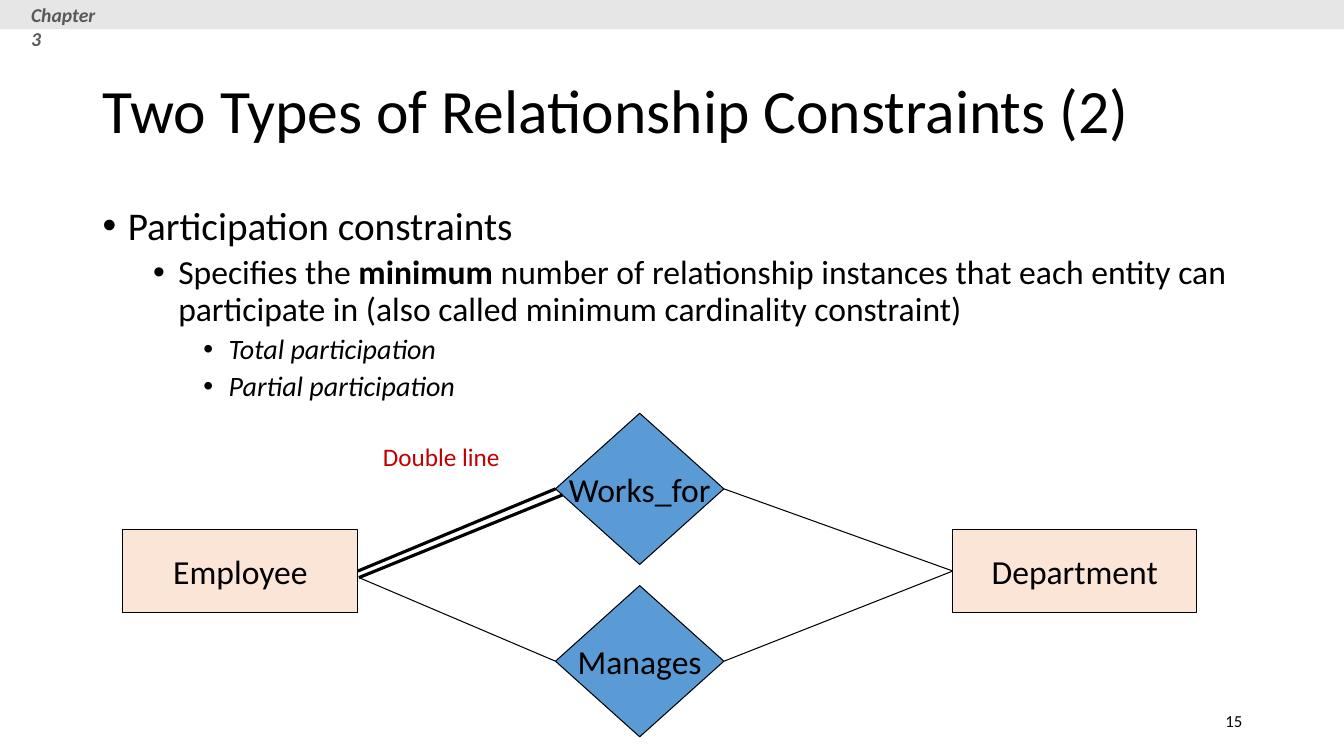
import pptx
import pptx.util
import pptx.dml.color
import pptx.enum.shapes
import pptx.enum.text
import pptx.oxml.ns
import lxml.etree
from dataclasses import dataclass

Inches = pptx.util.Inches
Pt = pptx.util.Pt
SHAPES = pptx.enum.shapes.MSO_SHAPE
ALIGN = pptx.enum.text.PP_ALIGN
ANCHOR = pptx.enum.text.MSO_ANCHOR

TITLE = "Two Types of Relationship Constraints (2)"
CHAPTER = "Chapter 3"
PAGE_NUMBER = "15"
LINE_NOTE = "Double line"
OUTLINE = [
    (0, [("Participation constraints", {})]),
    (1, [
        ("Specifies the ", {}),
        ("minimum", {"bold": True}),
        (" number of relationship instances that each entity can participate in"
         " (also called minimum cardinality constraint)", {}),
    ]),
    (2, [("Total participation", {"italic": True})]),
    (2, [("Partial participation", {"italic": True})]),
]
NODES = {
    "Works_for": ("relationship", 5.51, 4.1, 1.67, 1.5),
    "Department": ("entity", 9.45, 5.25, 2.42, 0.83),
    "Employee": ("entity", 1.22, 5.25, 2.33, 0.83),
    "Manages": ("relationship", 5.51, 5.81, 1.67, 1.5),
}
SECOND_LINE_START = (3.56, 5.73)
SECOND_LINE_END = (5.58, 4.91)
LINKS = [
    ("Works_for", "Department", "thin"),
    ("Employee", "Works_for", "thick"),
    (SECOND_LINE_START, SECOND_LINE_END, "thick"),
    (SECOND_LINE_START, "Manages", "thin"),
    ("Manages", "Department", "thin"),
]


@dataclass(frozen=True)
class Theme:
    font: str = "Calibri"
    ink: str = "000000"
    band: str = "E7E6E6"
    chapter: str = "595959"
    accent: str = "C00000"
    relationship: str = "5B9BD5"
    entity: str = "FBE5D6"
    title_size: int = 44
    outline_sizes: tuple = (28, 24, 20)
    node_size: int = 24
    note_size: int = 18
    chapter_size: int = 14
    number_size: int = 12
    thin: float = 0.75
    thick: float = 2.25


theme = Theme()


def rgb(code):
    return pptx.dml.color.RGBColor.from_string(code)


def write(para, text, *, size, color=theme.ink, bold=False, italic=False, align=ALIGN.LEFT):
    para.alignment = align
    span = para.add_run()
    span.text = text
    span.font.name = theme.font
    span.font.size = Pt(size)
    span.font.color.rgb = rgb(color)
    span.font.bold = bold
    span.font.italic = italic


def add_box(page, left, top, width, height, anchor=ANCHOR.TOP):
    box = page.shapes.add_textbox(Inches(left), Inches(top), Inches(width), Inches(height))
    box.text_frame.word_wrap = True
    box.text_frame.vertical_anchor = anchor
    return box.text_frame


def add_filled(page, kind, place, fill):
    shape = page.shapes.add_shape(kind, *map(Inches, place))
    shape.shadow.inherit = False
    shape.fill.solid()
    shape.fill.fore_color.rgb = rgb(fill)
    shape.line.fill.background()
    return shape


def add_title(page):
    title = page.shapes.title
    title.left, title.top = Inches(0.92), Inches(0.4)
    title.width, title.height = Inches(11.5), Inches(1.45)
    frame = title.text_frame
    frame.auto_size = pptx.enum.text.MSO_AUTO_SIZE.NONE
    frame.vertical_anchor = ANCHOR.MIDDLE
    para = frame.paragraphs[0]
    para.line_spacing = 0.9
    write(para, TITLE, size=theme.title_size)


def add_outline(page):
    frame = add_box(page, 0.92, 2, 11.5, 4.76)
    for index, (level, spans) in enumerate(OUTLINE):
        para = frame.add_paragraph() if index else frame.paragraphs[0]
        para.level = level
        para.line_spacing = 0.9
        para.space_before = Pt(5 if level else 10)
        for text, style in spans:
            write(para, text, size=theme.outline_sizes[level], **style)
        settings = para._p.get_or_add_pPr()
        settings.set("marL", str(Inches(0.25 + 0.5 * level)))
        settings.set("indent", str(Inches(-0.25)))
        font = lxml.etree.SubElement(settings, pptx.oxml.ns.qn("a:buFont"))
        font.set("typeface", "Arial")
        bullet = lxml.etree.SubElement(settings, pptx.oxml.ns.qn("a:buChar"))
        bullet.set("char", "•")


def add_node(page, name):
    role, *place = NODES[name]
    kind, fill = {
        "relationship": (SHAPES.DIAMOND, theme.relationship),
        "entity": (SHAPES.RECTANGLE, theme.entity),
    }[role]
    node = add_filled(page, kind, place, fill)
    node.line.color.rgb = rgb(theme.ink)
    node.line.width = Pt(theme.thin)
    frame = node.text_frame
    frame.word_wrap = False
    frame.vertical_anchor = ANCHOR.MIDDLE
    write(frame.paragraphs[0], name, size=theme.node_size, align=ALIGN.CENTER)
    return node


def add_link(page, nodes, start, end, weight):
    points = [(0, 0) if name in nodes else name for name in (start, end)]
    link = page.shapes.add_connector(
        pptx.enum.shapes.MSO_CONNECTOR.STRAIGHT,
        *(Inches(value) for point in points for value in point))
    if start in nodes:
        link.begin_connect(nodes[start], 3)
    if end in nodes:
        link.end_connect(nodes[end], 1)
    link.line.color.rgb = rgb(theme.ink)
    link.line.width = Pt(theme.thick if weight == "thick" else theme.thin)
    lxml.etree.SubElement(link._element.spPr, pptx.oxml.ns.qn("a:effectLst"))


def main():
    deck = pptx.Presentation()
    deck.slide_width, deck.slide_height = Inches(13.33), Inches(7.5)
    page = deck.slides.add_slide(deck.slide_layouts[5])

    add_title(page)
    add_outline(page)
    number = add_box(page, 9.42, 6.95, 3, 0.4, ANCHOR.MIDDLE)
    write(number.paragraphs[0], PAGE_NUMBER, size=theme.number_size, align=ALIGN.RIGHT)
    add_filled(page, SHAPES.RECTANGLE, (0, 0, 13.33, 0.29), theme.band)
    chapter = add_box(page, 0.21, -0.02, 0.96, 0.34)
    write(chapter.paragraphs[0], CHAPTER, size=theme.chapter_size,
          color=theme.chapter, bold=True, italic=True)

    nodes = {name: add_node(page, name) for name in NODES}
    for start, end, weight in LINKS:
        add_link(page, nodes, start, end, weight)
    note = add_box(page, 3.7, 4.33, 1.55, 0.4)
    write(note.paragraphs[0], LINE_NOTE, size=theme.note_size, color=theme.accent)

    deck.save("out.pptx")


if __name__ == "__main__":
    main()
